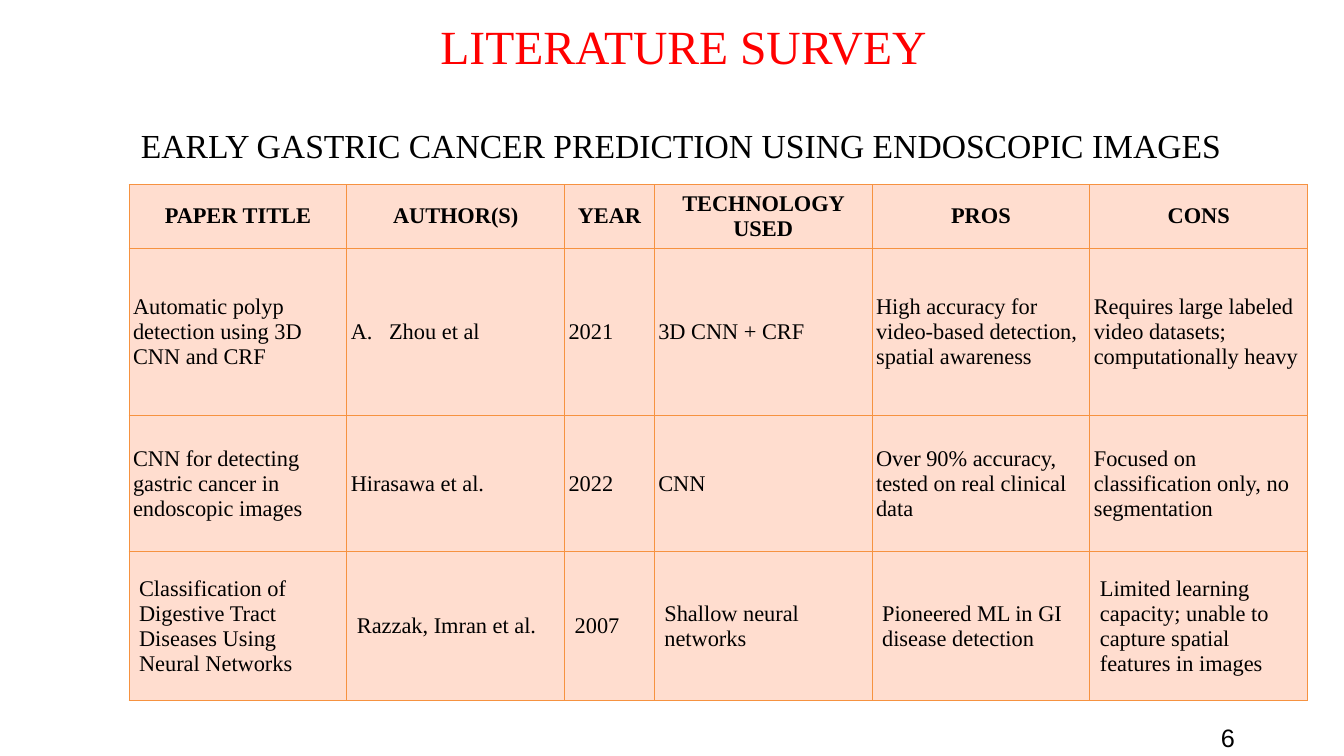
from lxml import etree
from pptx import Presentation, util as u
from pptx.dml.color import RGBColor
from pptx.enum import text
from pptx.oxml import ns

RED = RGBColor(0xFF, 0x00, 0x00)
BLACK = RGBColor(0x00, 0x00, 0x00)
PEACH = RGBColor(0xFF, 0xDD, 0xCF)
ORANGE = RGBColor(0xF6, 0x92, 0x40)
SERIF = "Times New Roman"

COLUMNS = [2.16, 2.16, 0.89, 2.16, 2.16, 2.16]
ROWS = [0.63, 1.66, 1.35, 1.48]
TIGHT_ROWS = (1, 2)
NUMBERED_CELL = (1, 1)
SURVEY = [
    ["PAPER TITLE", "AUTHOR(S)", "YEAR", "TECHNOLOGY USED", "PROS", "CONS"],
    ["Automatic polyp detection using 3D CNN and CRF", "Zhou et al", "2021",
     "3D CNN + CRF",
     "High accuracy for video-based detection, spatial awareness",
     "Requires large labeled video datasets; computationally heavy"],
    ["CNN for detecting gastric cancer in endoscopic images",
     "Hirasawa et al.", "2022", "CNN",
     "Over 90% accuracy, tested on real clinical data",
     "Focused on classification only, no segmentation"],
    ["Classification of Digestive Tract Diseases Using Neural Networks",
     "Razzak, Imran et al.", "2007", "Shallow neural networks",
     "Pioneered ML in GI disease detection",
     "Limited learning capacity; unable to capture spatial features in images"],
]


def style(para, size, color, font=SERIF, bold=False):
    for span in para.runs:
        span.font.name = font
        span.font.size = u.Pt(size)
        span.font.bold = bold
        span.font.color.rgb = color


def add_line(page, box, words, size, color, font=SERIF, inset=(0.1, 0.05)):
    """Place one line of text in the given box."""
    frame = page.shapes.add_textbox(*map(u.Inches, box)).text_frame
    frame.word_wrap = True
    frame.margin_left = frame.margin_right = u.Inches(inset[0])
    frame.margin_top = frame.margin_bottom = u.Inches(inset[1])
    frame.text = words
    para = frame.paragraphs[0]
    style(para, size, color, font)
    return para


def add_borders(cell):
    properties = cell._tc.get_or_add_tcPr()
    for side in ("a:lnL", "a:lnR", "a:lnT", "a:lnB"):
        line = etree.SubElement(properties, ns.qn(side), w=str(u.Pt(0.75)))
        fill = etree.SubElement(line, ns.qn("a:solidFill"))
        etree.SubElement(fill, ns.qn("a:srgbClr"), val=str(ORANGE))


def add_letter(para):
    """Number the paragraph A. with a hanging indent."""
    properties = para._p.get_or_add_pPr()
    properties.set("marL", str(u.Inches(0.38)))
    properties.set("indent", str(u.Inches(-0.38)))
    color = etree.SubElement(properties, ns.qn("a:buClr"))
    etree.SubElement(color, ns.qn("a:srgbClr"), val=str(BLACK))
    etree.SubElement(properties, ns.qn("a:buFont"), typeface=SERIF)
    etree.SubElement(properties, ns.qn("a:buAutoNum"), type="alphaUcPeriod")


def add_survey(page, left, top):
    box = map(u.Inches, (left, top, sum(COLUMNS), sum(ROWS)))
    table = page.shapes.add_table(len(ROWS), len(COLUMNS), *box).table
    table.first_row = table.horz_banding = False
    for column, width in zip(table.columns, COLUMNS):
        column.width = u.Inches(width)
    for r, entries in enumerate(SURVEY):
        table.rows[r].height = u.Inches(ROWS[r])
        for c, entry in enumerate(entries):
            cell = table.cell(r, c)
            add_borders(cell)
            cell.fill.solid()
            cell.fill.fore_color.rgb = PEACH
            cell.vertical_anchor = text.MSO_ANCHOR.MIDDLE
            if r in TIGHT_ROWS:
                cell.margin_left = cell.margin_right = u.Inches(0.04)
                cell.margin_top = cell.margin_bottom = u.Inches(0.02)
            cell.text = entry
            para = cell.text_frame.paragraphs[0]
            if (r, c) == NUMBERED_CELL:
                add_letter(para)
            if r == 0:
                para.alignment = text.PP_ALIGN.CENTER
            style(para, 16, BLACK, bold=r == 0)


def main():
    deck = Presentation()
    deck.slide_width, deck.slide_height = u.Inches(13.33), u.Inches(7.5)
    page = deck.slides.add_slide(deck.slide_layouts[6])

    # Headings
    add_line(page, (4.27, 0.12, 5.55, 0.67), "LITERATURE SURVEY", 34, RED)
    add_line(page, (1.3, 1.19, 11.6, 0.5),
             "EARLY GASTRIC CANCER PREDICTION USING ENDOSCOPIC IMAGES",
             24, BLACK)

    # Survey table
    add_survey(page, 1.28, 1.83)

    # Page number
    number = add_line(page, (12.07, 7.12, 0.27, 0.31), "6", 18, BLACK,
                      "Arial", (0, 0))
    number.line_spacing = 1.16
    number._p.get_or_add_pPr().set("marL", str(u.Inches(0.04)))

    deck.save("out.pptx")


if __name__ == "__main__":
    main()
